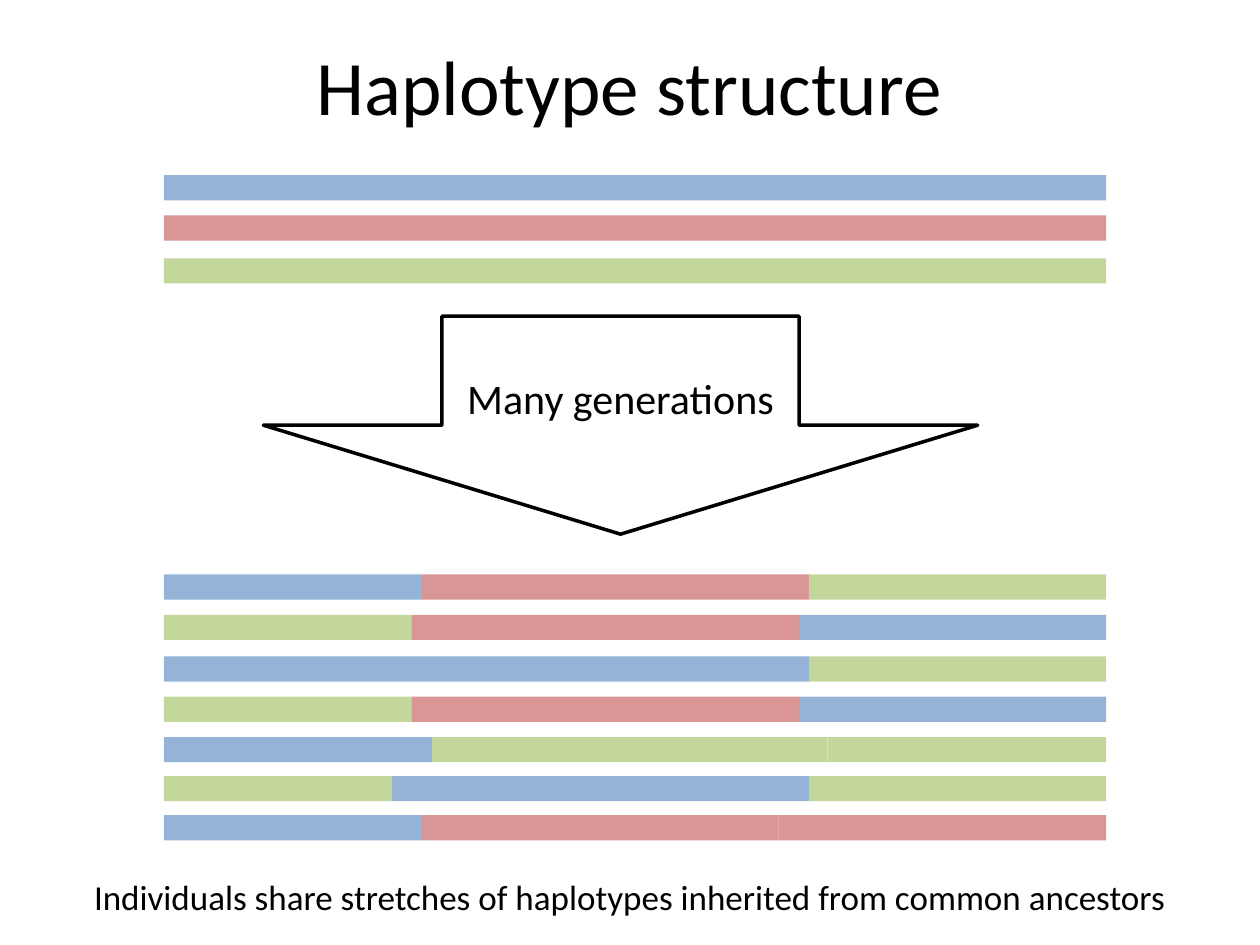
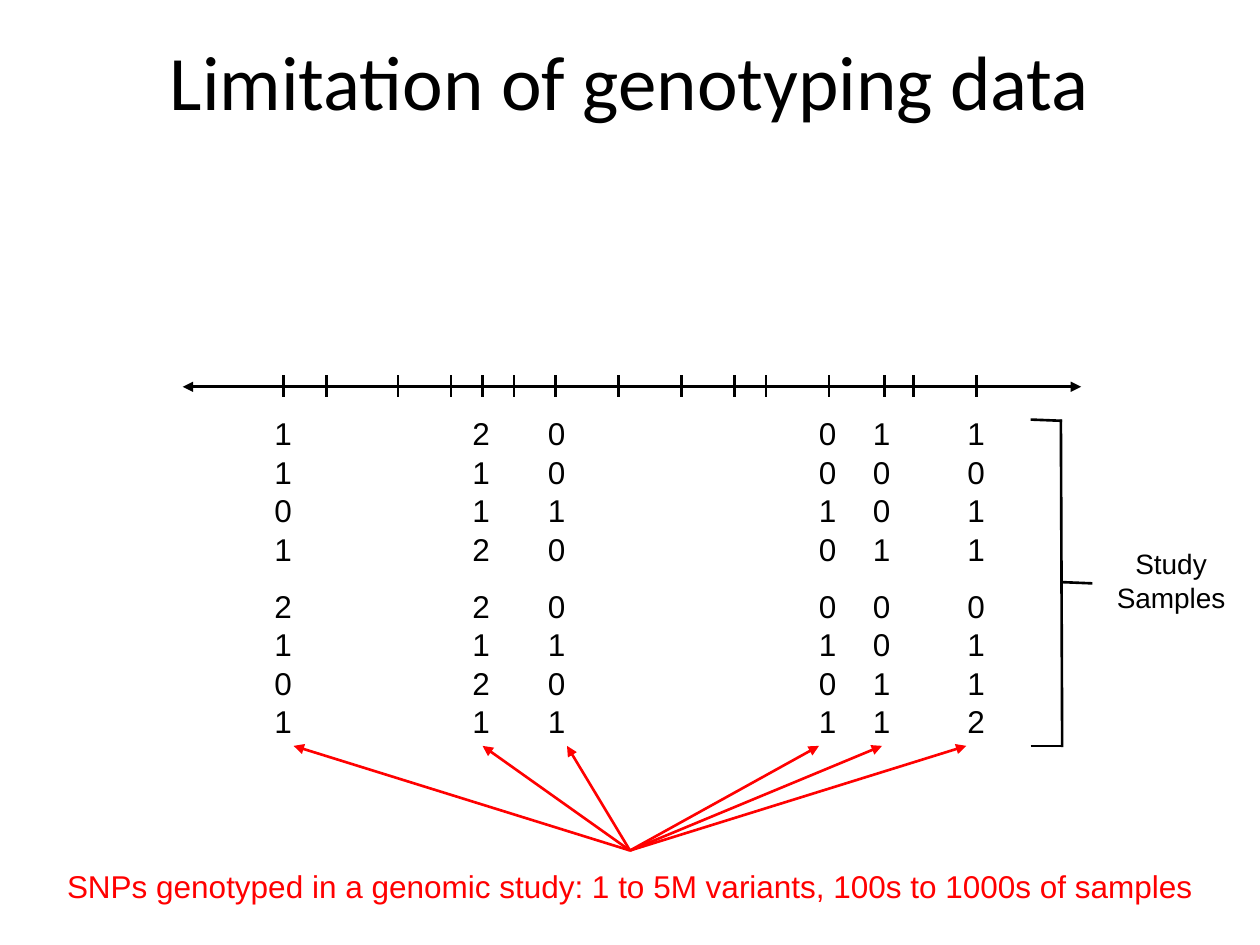
from lxml import etree
from pptx import Presentation
from pptx import util as u
from pptx.dml.color import RGBColor
from pptx.enum import shapes, text
from pptx.oxml.ns import qn

COLORS = {"black": "000000", "red": "FF0000", "blue": "95B3D7",
          "rose": "D99694", "green": "C3D69B"}
CENTER = text.PP_ALIGN.CENTER
LEFT = text.PP_ALIGN.LEFT


def rgb(name):
    return RGBColor.from_string(COLORS[name])


class Deck:
    line_width = 1.5

    def __init__(self):
        self.prs = Presentation()
        self.prs.slide_width, self.prs.slide_height = u.Inches(10), u.Inches(7.5)

    def slide(self, title, left, top, width):
        self.s = self.prs.slides.add_slide(self.prs.slide_layouts[5])
        self.top_level()
        sp = self.s.shapes.title
        sp.left, sp.top = u.Inches(left), u.Inches(top)
        sp.width, sp.height = u.Inches(width), u.Inches(1.25)
        sp.text_frame.vertical_anchor = text.MSO_ANCHOR.MIDDLE
        self.set_text(sp.text_frame, title, 44, "Calibri")

    def group(self):
        self.target = self.s.shapes.add_group_shape().shapes

    def top_level(self):
        self.target = self.s.shapes

    def set_text(self, tf, content, size, font, color="black", align=CENTER):
        tf.text = content
        for p in tf.paragraphs:
            p.alignment = align
            p.font.size = u.Pt(size)
            p.font.name = font
            p.font.color.rgb = rgb(color)

    def text(self, content, left, top, width, height, size, font,
             color="black", align=CENTER, wrap=True):
        sp = self.target.add_textbox(*map(u.Inches, (left, top, width, height)))
        tf = sp.text_frame
        tf.word_wrap = wrap
        tf.auto_size = text.MSO_AUTO_SIZE.SHAPE_TO_FIT_TEXT
        self.set_text(tf, content, size, font, color, align)

    def bar(self, color, left, top, right):
        sp = self.target.add_shape(shapes.MSO_SHAPE.RECTANGLE, u.Inches(left),
                                   u.Inches(top), u.Inches(right - left), u.Inches(0.2))
        sp.shadow.inherit = False
        sp.fill.solid()
        sp.fill.fore_color.rgb = rgb(color)
        sp.line.fill.background()

    def block_arrow(self, content, left, top, width, height):
        sp = self.target.add_shape(shapes.MSO_SHAPE.DOWN_ARROW,
                                   *map(u.Inches, (left, top, width, height)))
        sp.shadow.inherit = False
        sp.fill.background()
        sp.line.color.rgb = rgb("black")
        sp.line.width = u.Pt(2)
        sp.text_frame.vertical_anchor = text.MSO_ANCHOR.MIDDLE
        self.set_text(sp.text_frame, content, 24, "Calibri")

    def line(self, x1, y1, x2, y2, color="black", ends=()):
        c = self.target.add_connector(shapes.MSO_CONNECTOR.STRAIGHT,
                                      *map(u.Inches, (x1, y1, x2, y2)))
        c.line.color.rgb = rgb(color)
        c.line.width = u.Pt(self.line_width)
        spPr = c._element.spPr
        for end in ends:
            etree.SubElement(spPr.find(qn("a:ln")), qn(f"a:{end}"), type="triangle")
        etree.SubElement(spPr, qn("a:effectLst"))


def haplotype_slide(deck):
    deck.slide("Haplotype structure", 0.09, 0.05, 9.81)
    start, end = 1.3, 8.78
    for color, top in (("blue", 1.39), ("rose", 1.71), ("green", 2.05)):
        deck.bar(color, start, top, end)

    deck.block_arrow("Many generations", 2.09, 2.51, 5.67, 1.73)

    descendants = [
        (4.56, ("blue", "rose", "green"), 3.35, 6.42),
        (4.88, ("green", "rose", "blue"), 3.27, 6.34),
        (5.21, ("blue", "blue", "green"), 3.35, 6.42),
        (5.53, ("green", "rose", "blue"), 3.27, 6.34),
        (5.85, ("blue", "green", "green"), 3.43, 6.57),
        (6.16, ("green", "blue", "green"), 3.11, 6.42),
        (6.47, ("blue", "rose", "rose"), 3.35, 6.18),
    ]
    for top, colors, first_cut, second_cut in descendants:
        lefts = (start, first_cut, second_cut)
        rights = (first_cut, second_cut, end)
        for color, left, right in zip(colors, lefts, rights):
            deck.bar(color, left, top, right)

    deck.text("Individuals share stretches of haplotypes inherited from common ancestors",
              0, 6.9, 10, 0.44, 20, "Calibri")


def genotyping_slide(deck):
    deck.slide("Limitation of genotyping data", 0.5, 0.01, 9)

    deck.group()
    deck.line(1.45, 3.07, 8.58, 3.07, ends=("headEnd", "tailEnd"))
    for x in (2.25, 2.59, 3.16, 3.58, 3.83, 4.08, 4.41, 4.91, 5.41,
              5.83, 6.08, 6.58, 7.02, 7.25, 7.75):
        deck.line(x, 2.98, x, 3.15)

    columns = (2.08, 3.65, 4.25, 6.4, 6.83, 7.58)
    genotypes = {
        3.24: ("120011", "110000", "011101", "120011"),
        4.61: ("220000", "111101", "020011", "111112"),
    }
    for top, samples in genotypes.items():
        deck.group()
        for i, sample in enumerate(samples):
            for left, allele_count in zip(columns, sample):
                deck.text(allele_count, left, top + i * 0.305, 0.34, 0.4, 18,
                          "Arial", align=LEFT, wrap=False)

    deck.top_level()
    deck.text("Study\nSamples", 8.76, 4.29, 1.07, 0.64, 16, "Arial", wrap=False)

    deck.group()
    for bracket in ((8.18, 3.33, 8.43, 3.34), (8.18, 5.92, 8.43, 5.92),
                    (8.42, 3.33, 8.43, 5.93), (8.42, 4.62, 8.67, 4.63)):
        deck.line(*bracket)

    deck.top_level()
    deck.text("SNPs genotyped in a genomic study: 1 to 5M variants, 100s to 1000s of samples",
              0, 6.83, 10, 0.4, 18, "Arial", "red")
    deck.group()
    for x in (2.33, 3.83, 4.5, 6.5, 7, 7.67):
        deck.line(5, 6.75, x, 5.92, "red", ("tailEnd",))


deck = Deck()
haplotype_slide(deck)
genotyping_slide(deck)
deck.prs.save("out.pptx")
